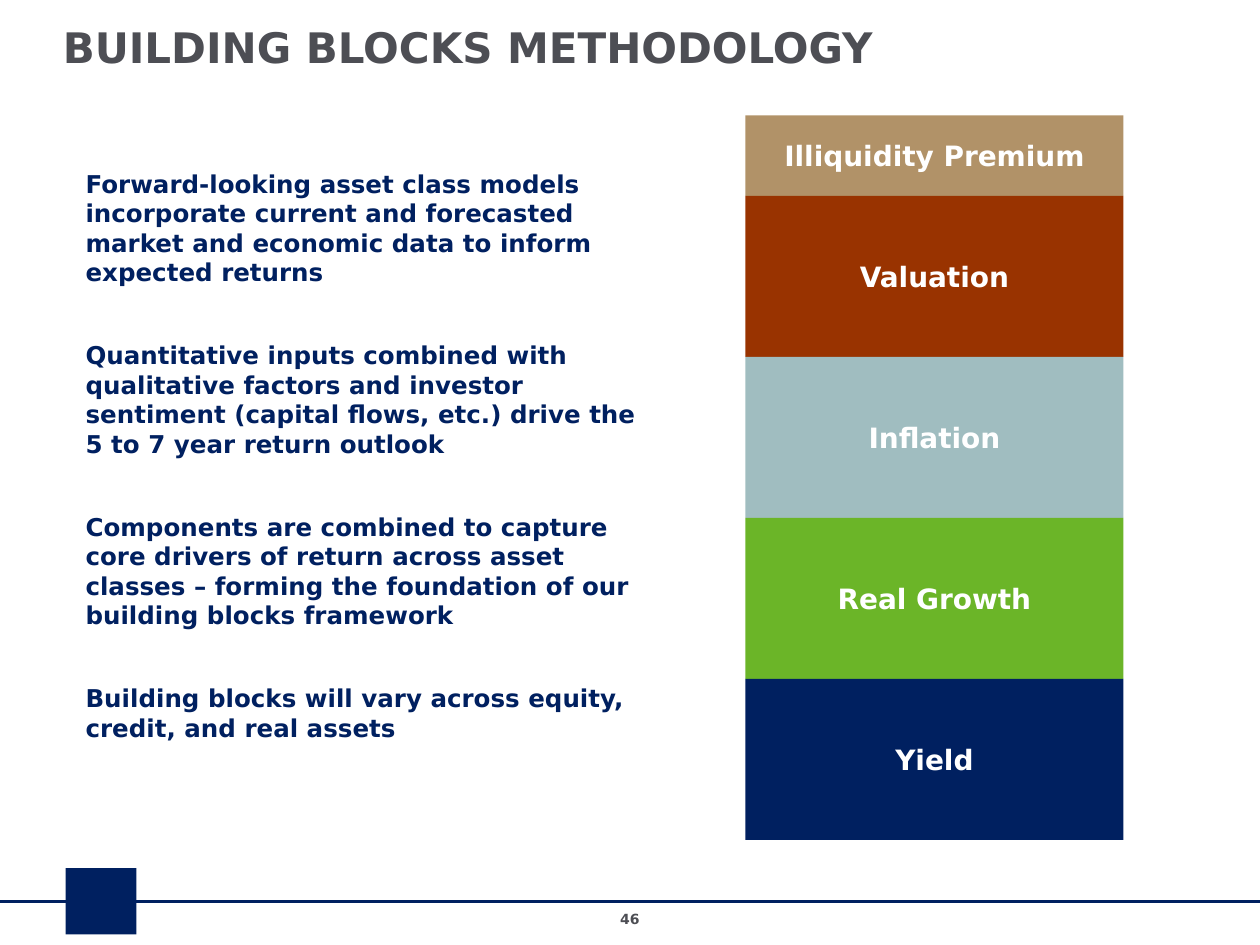
import dataclasses

import lxml.etree
import pptx
import pptx.dml.color
import pptx.enum.shapes
import pptx.enum.text
import pptx.oxml.ns
import pptx.util

Pt = pptx.util.Pt
Align = pptx.enum.text.PP_ALIGN
Anchor = pptx.enum.text.MSO_ANCHOR
Shape = pptx.enum.shapes.MSO_SHAPE


@dataclasses.dataclass(frozen=True)
class Theme:
    font: str = "DejaVu Sans"
    navy: str = "002060"
    gray: str = "4D4E54"
    white: str = "FFFFFF"
    tan: str = "B19268"
    rust: str = "993300"
    mist: str = "A0BDC0"
    green: str = "6BB528"
    title_size: int = 24
    block_size: int = 16
    body_size: int = 14
    number_size: int = 8


class SlideBuilder:
    def __init__(self, page, theme):
        self.page = page
        self.theme = theme

    def color(self, value):
        return pptx.dml.color.RGBColor.from_string(value)

    def fill_text(self, frame, texts, size, color, align, anchor, gap=0):
        frame.word_wrap = True
        frame.vertical_anchor = anchor
        for index, text in enumerate(texts):
            para = frame.add_paragraph() if index else frame.paragraphs[0]
            para.text = text
            para.alignment = align
            if index:
                para.space_before = Pt(gap)
            para.font.name = self.theme.font
            para.font.size = Pt(size)
            para.font.bold = True
            para.font.color.rgb = self.color(color)

    def text(self, left, top, width, height, texts, size, color,
             align=Align.LEFT, gap=0):
        box = self.page.shapes.add_textbox(Pt(left), Pt(top), Pt(width), Pt(height))
        self.fill_text(box.text_frame, texts, size, color, align, Anchor.TOP, gap)

    def block(self, left, top, width, height, fill, label=None):
        shape = self.page.shapes.add_shape(
            Shape.RECTANGLE, Pt(left), Pt(top), Pt(width), Pt(height))
        shape.shadow.inherit = False
        shape.fill.solid()
        shape.fill.fore_color.rgb = self.color(fill)
        shape.line.fill.background()
        if label:
            self.fill_text(shape.text_frame, [label], self.theme.block_size,
                           self.theme.white, Align.CENTER, Anchor.MIDDLE)

    def rule(self, left, right, y, color, weight):
        line = self.page.shapes.add_connector(
            pptx.enum.shapes.MSO_CONNECTOR.STRAIGHT, Pt(left), Pt(y), Pt(right), Pt(y))
        line.line.color.rgb = self.color(color)
        line.line.width = Pt(weight)
        lxml.etree.SubElement(
            line._element.spPr, pptx.oxml.ns.qn("a:effectLst"))


def main():
    deck = pptx.Presentation()
    deck.slide_width, deck.slide_height = Pt(720), Pt(540)
    theme = Theme()
    builder = SlideBuilder(deck.slides.add_slide(deck.slide_layouts[6]), theme)

    builder.rule(0, 720, 515, theme.navy, 1.5)
    builder.block(37.5, 496, 40.5, 38, theme.navy)
    builder.text(276, 517, 168, 17, ["46"], theme.number_size, theme.gray, Align.CENTER)

    builder.text(28.8, 9, 648, 33, ["BUILDING BLOCKS METHODOLOGY"],
                 theme.title_size, theme.gray)

    messages = [
        "Forward-looking asset class models incorporate current and forecasted "
        "market and economic data to inform expected returns",
        "Quantitative inputs combined with qualitative factors and investor "
        "sentiment (capital flows, etc.) drive the 5 to 7 year return outlook",
        "Components are combined to capture core drivers of return across asset "
        "classes – forming the foundation of our building blocks framework",
        "Building blocks will vary across equity, credit, and real assets",
    ]
    builder.text(41.8, 93, 336, 336, messages, theme.body_size, theme.navy, gap=30.7)

    unit = 92
    blocks = [
        ("Illiquidity Premium", theme.tan, unit / 2),
        ("Valuation", theme.rust, unit),
        ("Inflation", theme.mist, unit),
        ("Real Growth", theme.green, unit),
        ("Yield", theme.navy, unit),
    ]
    top = 66
    for label, fill, height in blocks:
        builder.block(426, top, 216, height, fill, label)
        top += height

    deck.save("out.pptx")


if __name__ == "__main__":
    main()
